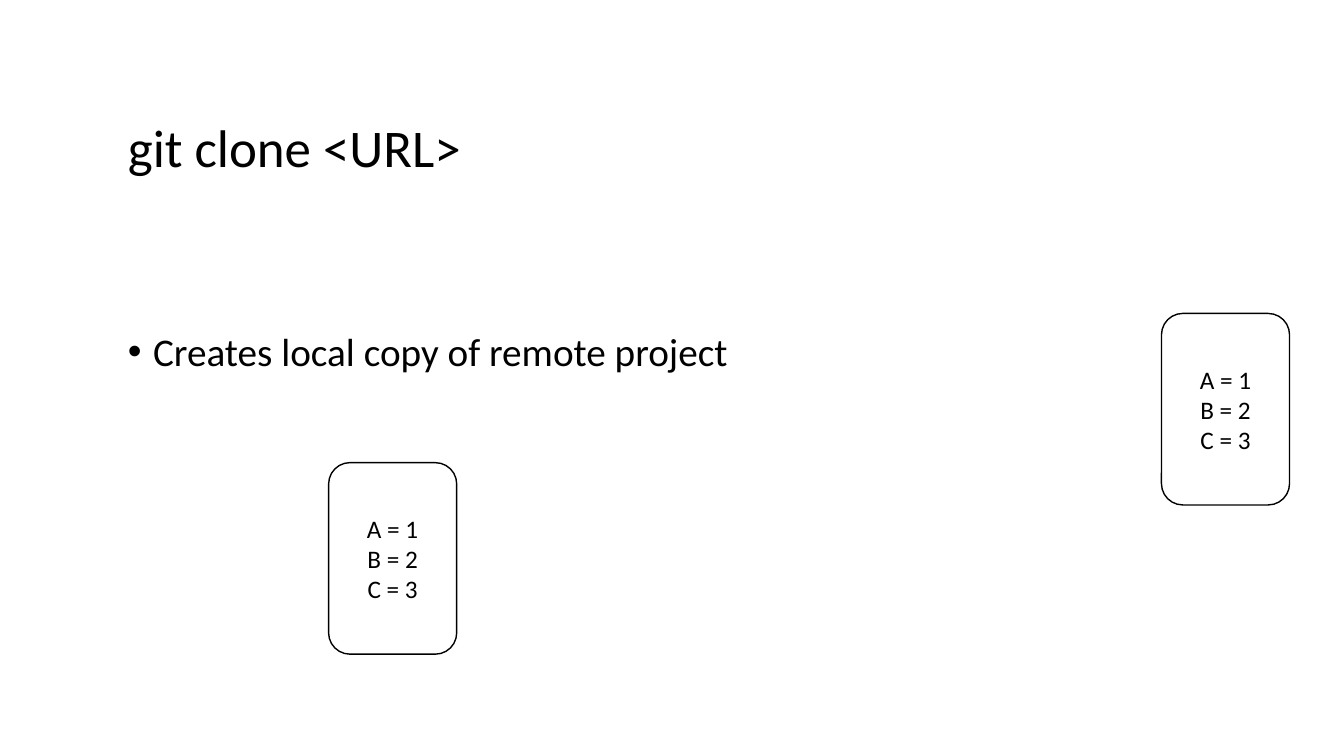
from lxml.etree import SubElement
from pptx import Presentation
from pptx.dml.color import RGBColor
from pptx.enum.shapes import MSO_SHAPE
from pptx.enum.text import MSO_ANCHOR, PP_ALIGN
from pptx.oxml.ns import qn
from pptx.util import Inches, Pt

BLACK = RGBColor(0x00, 0x00, 0x00)
WHITE = RGBColor(0xFF, 0xFF, 0xFF)
FONT = "Calibri"

# Shared text column and repository box size, in inches
TEXT_LEFT, TEXT_WIDTH = 1.17, 10.98
REPO_WIDTH, REPO_HEIGHT = 1.27, 1.9
PROJECT = "A = 1\nB = 2\nC = 3"


def style(paragraph, size):
    for run in paragraph.runs:
        run.font.name = FONT
        run.font.size = Pt(size)
        run.font.color.rgb = BLACK


def add_text(slide, top, height, text, size):
    box = slide.shapes.add_textbox(Inches(TEXT_LEFT), Inches(top),
                                   Inches(TEXT_WIDTH), Inches(height))
    frame = box.text_frame
    frame.word_wrap = True
    frame.vertical_anchor = MSO_ANCHOR.TOP
    frame.text = text
    paragraph = frame.paragraphs[0]
    paragraph.line_spacing = 0.9
    style(paragraph, size)
    return paragraph


def add_bullet(paragraph, indent):
    properties = paragraph._p.get_or_add_pPr()
    properties.set("marL", str(Inches(indent)))
    properties.set("indent", str(-Inches(indent)))
    SubElement(properties, qn("a:buFont"), typeface="Arial")
    SubElement(properties, qn("a:buChar"), char="•")


def add_repository(slide, left, top):
    repository = slide.shapes.add_shape(
        MSO_SHAPE.ROUNDED_RECTANGLE, Inches(left), Inches(top),
        Inches(REPO_WIDTH), Inches(REPO_HEIGHT))
    repository.shadow.inherit = False
    repository.fill.solid()
    repository.fill.fore_color.rgb = WHITE
    repository.line.color.rgb = BLACK
    repository.line.width = Pt(1)
    frame = repository.text_frame
    frame.vertical_anchor = MSO_ANCHOR.MIDDLE
    frame.text = PROJECT
    for paragraph in frame.paragraphs:
        paragraph.alignment = PP_ALIGN.CENTER
        style(paragraph, 18)


def main():
    deck = Presentation()
    deck.slide_width, deck.slide_height = Inches(13.33), Inches(7.5)
    slide = deck.slides.add_slide(deck.slide_layouts[6])

    # Command and its effect
    add_text(slide, 1.16, 1.34, "git clone <URL>", 37.8)
    effect = add_text(slide, 3.25, 3.17,
                      "Creates local copy of remote project", 28)
    add_bullet(effect, 0.25)

    # Remote project, then its local copy
    add_repository(slide, 11.52, 3.11)
    add_repository(slide, 3.26, 4.59)

    deck.save("out.pptx")


if __name__ == "__main__":
    main()
